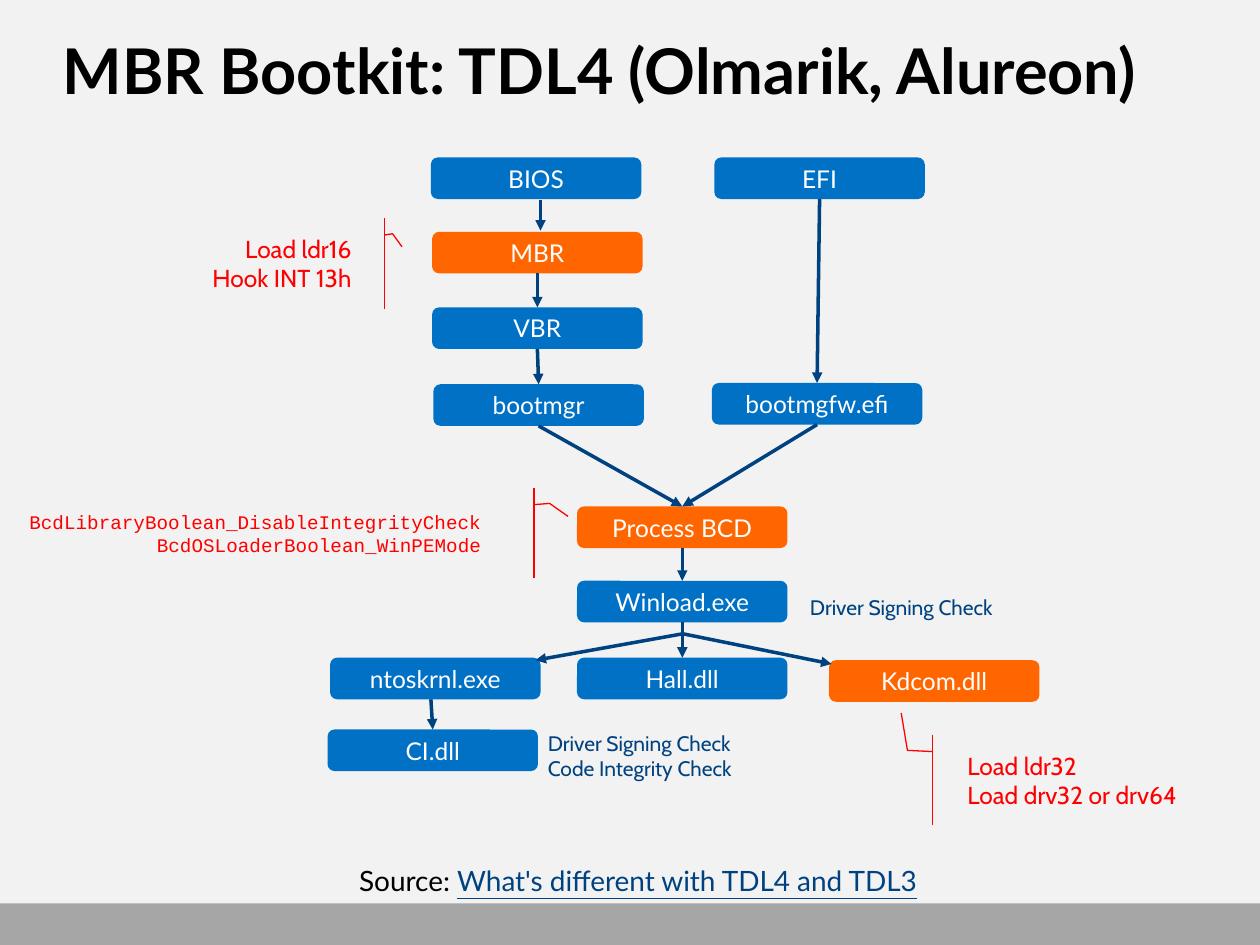
from lxml.etree import SubElement
from pptx import Presentation
from pptx.dml.color import RGBColor
from pptx.enum.shapes import MSO_CONNECTOR as Conn, MSO_SHAPE as Kind
from pptx.enum.text import MSO_ANCHOR as Anchor, PP_ALIGN as Align
from pptx.oxml.ns import qn
from pptx.util import Inches, Pt

BLUE, ORANGE, NAVY, RED = "0071C5", "FF6600", "004280", "FF0000"
TOP, BOTTOM = 0, 2


def color(code):
    return RGBColor.from_string(code)


def inches(*sizes):
    return [Inches(s) for s in sizes]


class Deck:
    font, code = "Lato", "Courier New"
    note_font = "Cabin"
    box_size = (1.67, 0.33)

    def __init__(self):
        self.prs = Presentation()
        self.prs.slide_width, self.prs.slide_height = inches(10, 7.5)
        self.slide = self.prs.slides.add_slide(self.prs.slide_layouts[6])
        back = self.slide.background.fill
        back.solid()
        back.fore_color.rgb = color("F2F2F2")

    def put(self, frame, lines, size, font, align=Align.LEFT):
        """Fill a frame; each line is a list of (text, colour, style) runs."""
        frame.word_wrap = True
        for i, line in enumerate(lines):
            para = frame.paragraphs[0] if i == 0 else frame.add_paragraph()
            para.alignment = align
            for text, ink, style in line:
                run = para.add_run()
                run.text = text
                run.font.size, run.font.name = Pt(size), font
                run.font.color.rgb = color(ink)
                run.font.bold = style == "bold"
                run.font.underline = style == "under"

    def shape(self, kind, at, fill=None):
        item = self.slide.shapes.add_shape(kind, *inches(*at))
        item.shadow.inherit = False
        item.line.fill.background()
        if fill:
            item.fill.solid()
            item.fill.fore_color.rgb = color(fill)
        else:
            item.fill.background()
        return item

    def box(self, text, left, top, fill=BLUE):
        item = self.shape(Kind.ROUNDED_RECTANGLE, (left, top, *self.box_size), fill)
        item.text_frame.vertical_anchor = Anchor.MIDDLE
        self.put(item.text_frame, [[(text, "FFFFFF", "")]], 14, self.font, Align.CENTER)
        return item

    def text(self, at, lines, size, font, align=Align.LEFT, inset=True):
        frame = self.slide.shapes.add_textbox(*inches(*at)).text_frame
        if not inset:
            frame.margin_left = frame.margin_right = 0
            frame.margin_top = frame.margin_bottom = 0
        self.put(frame, lines, size, font, align)

    def note(self, at, *lines):
        self.text(at, [[(line, NAVY, "")] for line in lines], 12, self.note_font)

    def callout(self, at, lines, bend, size=14, font=note_font, flip=False):
        """Red callout; bend holds the last three adjustments of its line."""
        item = self.shape(Kind.LINE_CALLOUT_2_ACCENT_BAR, at)
        for i, value in enumerate((0.188, -0.083, 0.174, *bend)):
            item.adjustments[i] = value
        item.line.color.rgb = color(RED)
        item.line.width = Pt(0.75)
        if flip:
            item._element.spPr.find(qn("a:xfrm")).set("flipH", "1")
        item.text_frame.vertical_anchor = Anchor.MIDDLE
        self.put(item.text_frame, [[(line, RED, "")] for line in lines],
                 size, font, Align.RIGHT if flip else Align.LEFT)

    def arrow(self, start, end):
        """Each end is an (x, y) point or a (box, side) pair."""
        free = [isinstance(p[0], (int, float)) for p in (start, end)]
        spots = [p if f else (0, 0) for p, f in zip((start, end), free)]
        line = self.slide.shapes.add_connector(
            Conn.STRAIGHT, *inches(*spots[0], *spots[1]))
        if not free[0]:
            line.begin_connect(*start)
        if not free[1]:
            line.end_connect(*end)
        line.line.color.rgb = color(NAVY)
        line.line.width = Pt(2)
        SubElement(line.line._get_or_add_ln(), qn("a:tailEnd"), type="triangle")
        SubElement(line._element.spPr, qn("a:effectLst"))


def main():
    deck = Deck()
    deck.shape(Kind.RECTANGLE, (0, 7.17, 10, 0.33), "A6A6A6")
    deck.text((0.5, 0.25, 9, 1.08),
              [[("MBR Bootkit: TDL4 (Olmarik, Alureon)", "000000", "bold")]],
              36, deck.font, inset=False)
    deck.text((1.69, 6.85, 6.75, 0.23),
              [[("Source: ", "000000", ""),
                ("What's different with TDL4 and TDL3", NAVY, "under")]],
              16, deck.font, Align.CENTER, inset=False)

    deck.box("BIOS", 3.42, 1.25)
    mbr = deck.box("MBR", 3.43, 1.84, ORANGE)
    vbr = deck.box("VBR", 3.43, 2.44)
    mgr = deck.box("bootmgr", 3.44, 3.05)
    efi = deck.box("EFI", 5.67, 1.25)
    mgfw = deck.box("bootmgfw.efi", 5.65, 3.04)
    bcd = deck.box("Process BCD", 4.58, 4.02, ORANGE)
    load = deck.box("Winload.exe", 4.58, 4.61)
    deck.box("ntoskrnl.exe", 2.62, 5.22)
    hall = deck.box("Hall.dll", 4.58, 5.22)
    deck.box("Kdcom.dll", 6.58, 5.24, ORANGE)
    check = deck.box("CI.dll", 2.6, 5.79)

    for upper, lower in ((mbr, vbr), (vbr, mgr), (efi, mgfw), (mgr, bcd),
                         (mgfw, bcd), (bcd, load), (load, hall)):
        deck.arrow((upper, BOTTOM), (lower, TOP))
    fork = (5.42, 5.03)
    deck.arrow((4.29, 1.59), (4.29, 1.83))
    deck.arrow(fork, (4.25, 5.24))
    deck.arrow(fork, (6.6, 5.27))
    deck.arrow((3.42, 5.55), (check, TOP))

    left = (-0.115, 0.318, -0.153)
    deck.callout((7.58, 5.83, 2.17, 0.72), ["Load ldr32", "Load drv32 or drv64"],
                 (-0.174, -0.238, -0.197))
    deck.callout((0.07, 3.87, 3.85, 0.72),
                 ["BcdLibraryBoolean_DisableIntegrityCheck",
                  "BcdOSLoaderBoolean_WinPEMode"], left, 11, deck.code, flip=True)
    deck.callout((0.92, 1.73, 1.97, 0.72), ["Load ldr16", "Hook INT 13h"],
                 left, flip=True)

    signing = "Driver Signing Check"
    deck.note((6.33, 4.67, 2.25, 0.3), signing)
    deck.note((4.25, 5.75, 2.25, 0.5), signing, "Code Integrity Check")
    deck.prs.save("out.pptx")


if __name__ == "__main__":
    main()
